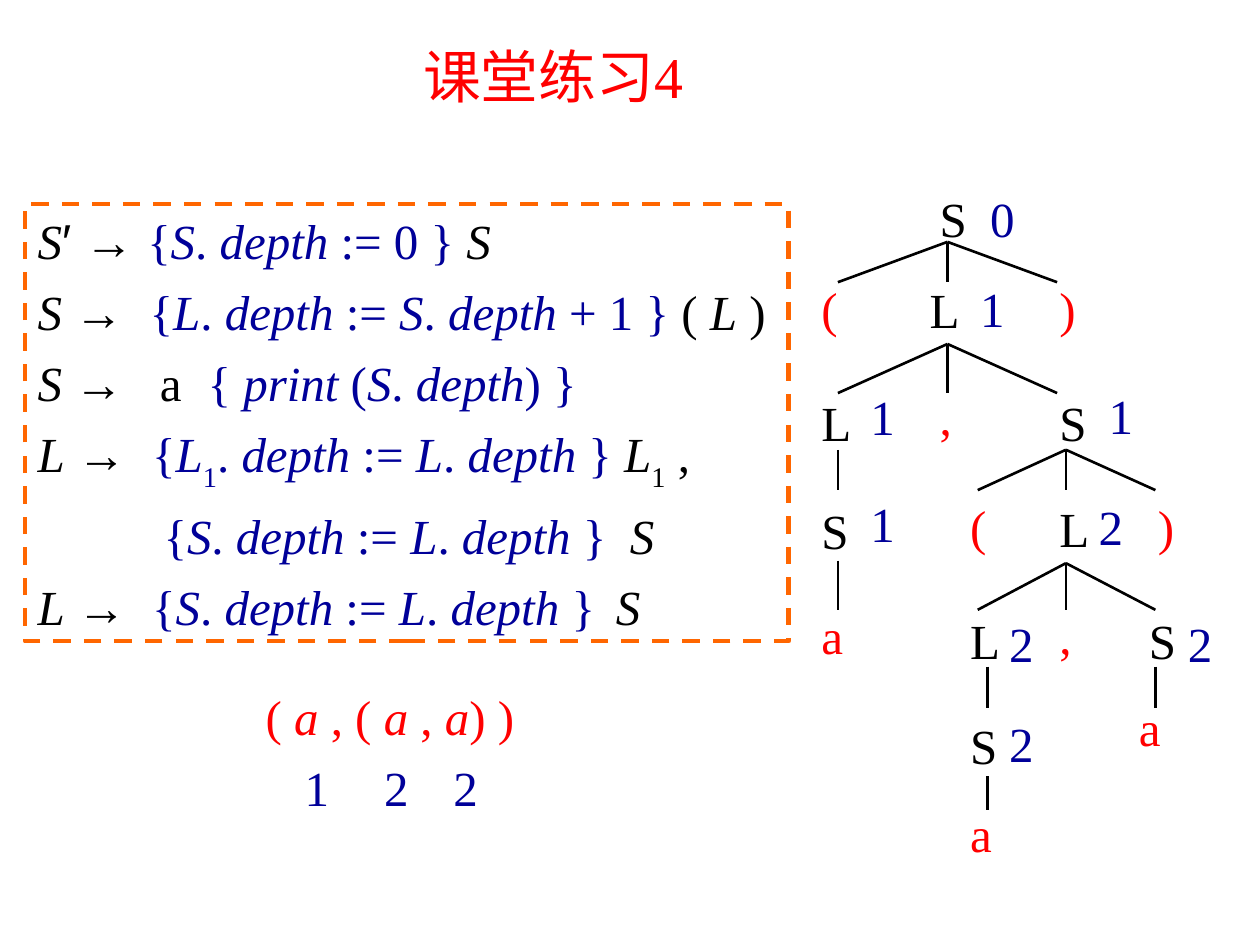
from typing import NamedTuple

from lxml.etree import SubElement
from pptx import Presentation
from pptx.dml.color import RGBColor
from pptx.enum.dml import MSO_LINE
from pptx.enum.shapes import MSO_CONNECTOR, MSO_SHAPE
from pptx.enum.text import MSO_ANCHOR, PP_ALIGN
from pptx.oxml.ns import qn
from pptx.util import Inches, Pt

BLACK = RGBColor(0x00, 0x00, 0x00)
RED = RGBColor(0xFF, 0x00, 0x00)
BLUE = RGBColor(0x00, 0x00, 0x99)
ORANGE = RGBColor(0xFF, 0x66, 0x00)
SERIF = "Times New Roman"
SYMBOLS = "Arial"
LABEL_HEIGHT = 0.57


class Label(NamedTuple):
    text: str
    left: float
    top: float


class Branch(NamedTuple):
    """Lines from one parent point down to children on one level."""
    x: float
    top: float
    bottom: float
    children: tuple[float, ...]


class Rule(NamedTuple):
    """A grammar rule: * italic, ~ symbol font, | semantic action, _ subscript."""
    text: str
    tabs: tuple[float, ...] = ()


NODES = [
    Label("S", 7.36, 1.45), Label("L", 7.28, 2.17),
    Label("L", 6.42, 3.07), Label("S", 8.31, 3.07),
    Label("S", 6.42, 3.92), Label("L", 8.31, 3.91),
    Label("L", 7.6, 4.8), Label("S", 9.02, 4.8), Label("S", 7.6, 5.63),
]
TERMINALS = [
    Label("(", 6.42, 2.16), Label(")", 8.31, 2.16), Label(",", 7.36, 3.02),
    Label("(", 7.6, 3.89), Label(")", 9.09, 3.89), Label("a", 6.42, 4.76),
    Label(",", 8.31, 4.76), Label("a", 8.94, 5.49), Label("a", 7.6, 6.33),
]
DEPTHS = [
    Label("0", 7.76, 1.45), Label("1", 7.68, 2.16), Label("1", 6.81, 3.02),
    Label("1", 8.7, 3.01), Label("1", 6.81, 3.87), Label("2", 8.62, 3.89),
    Label("2", 7.91, 4.82), Label("2", 9.33, 4.82), Label("2", 7.91, 5.61),
    Label("1", 2.32, 5.96), Label("2", 2.95, 5.96), Label("2", 3.5, 5.96),
]
BRANCHES = [
    Branch(7.52, 1.92, 2.24, (6.65, 7.52, 8.39)),
    Branch(7.52, 2.73, 3.12, (6.65, 7.52, 8.39)),
    Branch(8.46, 3.57, 3.89, (7.76, 8.46, 9.17)),
    Branch(8.46, 4.47, 4.84, (7.76, 8.46, 9.17)),
    Branch(6.65, 3.57, 3.89, (6.65,)),
    Branch(6.65, 4.45, 4.84, (6.65,)),
    Branch(7.84, 5.29, 5.62, (7.84,)),
    Branch(7.84, 6.16, 6.43, (7.84,)),
    Branch(9.17, 5.29, 5.62, (9.17,)),
]
RULES = [
    Rule("*S*~′ → ~|{*S*. *depth* := 0 } |*S*"),
    Rule("*S* ~→~\t|{*L*. *depth* := *S*. *depth* + 1 }| ( *L* )", (0.89,)),
    Rule("*S* ~→~\ta\t|{ *print* (*S*. *depth*) }|", (0.97, 1.35)),
    Rule("*L* ~→~\t|{*L*_1_. *depth* := *L*. *depth* } |*L*_1_ ,", (0.91,)),
    Rule("\t|{*S*. *depth* := *L*. *depth* }|\t*S*", (1, 4.7)),
    Rule("*L* ~→~\t|{*S*. *depth* := *L*. *depth* }|\t*S*", (0.91, 4.59)),
]


def add_marked_runs(paragraph, text: str, color: RGBColor) -> None:
    """Split text at style marks and add one run per style."""
    active = dict.fromkeys("*~|_", False)
    pending = ""
    for character in text + "*":
        if character not in active:
            pending += character
            continue
        if pending:
            run = paragraph.add_run()
            run.text = pending
            run.font.italic = active["*"]
            run.font.name = SYMBOLS if active["~"] else SERIF
            run.font.color.rgb = BLUE if active["|"] else color
            if active["_"]:
                run.font._element.set("baseline", "-30000")
            pending = ""
        active[character] = not active[character]


def add_tab_stops(paragraph, positions: tuple[float, ...]) -> None:
    tab_list = SubElement(paragraph._p.get_or_add_pPr(), qn("a:tabLst"))
    for position in positions:
        SubElement(tab_list, qn("a:tab"), pos=str(Inches(position)), algn="l")


def add_text(slide, label: Label, width: float, color: RGBColor,
             centered: bool = False, height: float = LABEL_HEIGHT, size: int = 28):
    """Add a one-line text box; a centered one does not wrap."""
    box = slide.shapes.add_textbox(Inches(label.left), Inches(label.top),
                                   Inches(width), Inches(height))
    box.text_frame.word_wrap = not centered
    paragraph = box.text_frame.paragraphs[0]
    paragraph.alignment = PP_ALIGN.CENTER if centered else PP_ALIGN.LEFT
    paragraph.font.size = Pt(size)
    add_marked_runs(paragraph, label.text, color)
    return box


def add_branch(slide, branch: Branch) -> None:
    group = slide.shapes.add_group_shape()
    for child in branch.children:
        line = group.shapes.add_connector(
            MSO_CONNECTOR.STRAIGHT, Inches(branch.x), Inches(branch.top),
            Inches(child), Inches(branch.bottom))
        line.line.color.rgb = BLACK
        line.line.width = Pt(1.5)
        SubElement(line._element.spPr, qn("a:effectLst"))


def add_grammar(slide) -> None:
    frame = slide.shapes.add_shape(MSO_SHAPE.RECTANGLE, Inches(0.2), Inches(1.62),
                                   Inches(6.06), Inches(3.47))
    frame.shadow.inherit = False
    frame.fill.background()
    frame.line.color.rgb = ORANGE
    frame.line.width = Pt(2.5)
    frame.line.dash_style = MSO_LINE.DASH
    text_frame = frame.text_frame
    text_frame.word_wrap = True
    text_frame.vertical_anchor = MSO_ANCHOR.TOP
    for index, rule in enumerate(RULES):
        paragraph = text_frame.add_paragraph() if index else text_frame.paragraphs[0]
        paragraph.alignment = PP_ALIGN.LEFT
        if index:
            paragraph.space_before = Pt(7)
        if rule.tabs:
            add_tab_stops(paragraph, rule.tabs)
        paragraph.font.size = Pt(28)
        add_marked_runs(paragraph, rule.text, BLACK)


def main() -> None:
    presentation = Presentation()
    presentation.slide_width = Inches(10)
    presentation.slide_height = Inches(7.5)
    slide = presentation.slides.add_slide(presentation.slide_layouts[6])

    title = add_text(slide, Label("课堂练习4", 3.19, 0.21), 2.4, RED, True, 0.78, 33)
    title.text_frame.vertical_anchor = MSO_ANCHOR.MIDDLE
    add_grammar(slide)
    add_text(slide, Label("( *a* , ( *a* , *a*) )", 2.01, 5.4), 2.17, RED, True)

    for branch in BRANCHES:
        add_branch(slide, branch)
    for node in NODES:
        add_text(slide, node, 0.55, BLACK)
    for terminal in TERMINALS:
        add_text(slide, terminal, 0.55, RED)
    for depth in DEPTHS:
        add_text(slide, depth, 0.39, BLUE, centered=True)

    presentation.save("out.pptx")


if __name__ == "__main__":
    main()
